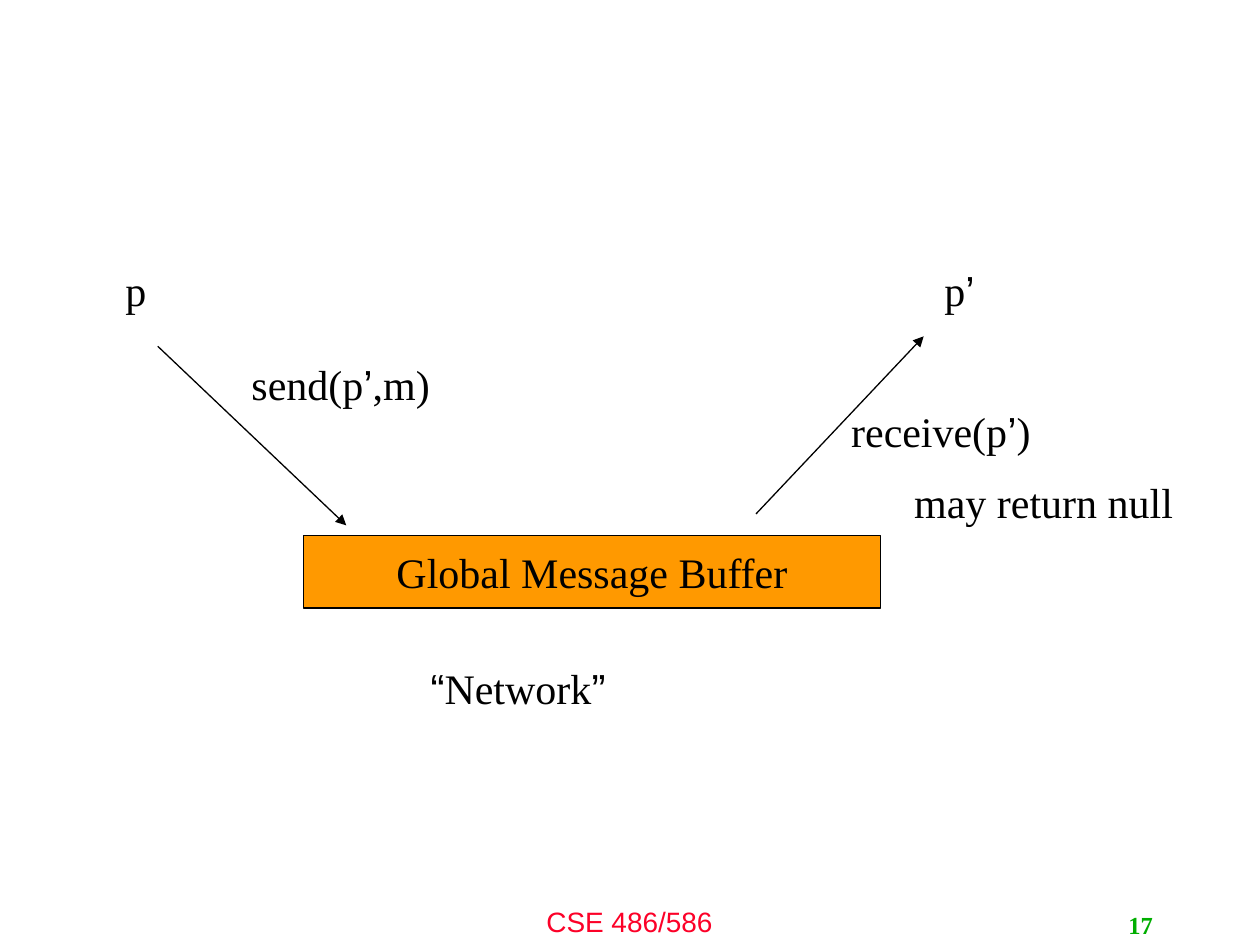
from itertools import groupby

from lxml import etree
from pptx import Presentation
from pptx.dml.color import RGBColor
from pptx.enum.shapes import MSO_CONNECTOR, MSO_SHAPE
from pptx.enum.text import MSO_ANCHOR, PP_ALIGN
from pptx.oxml.ns import qn
from pptx.util import Cm, Pt

BLACK = RGBColor(0x00, 0x00, 0x00)
ORANGE = RGBColor(0xFF, 0x99, 0x00)
RED = RGBColor(0xFC, 0x01, 0x28)
GREEN = RGBColor(0x00, 0xAE, 0x00)
SERIF, SANS = "Times New Roman", "Arial"
CURLY_QUOTES = "\u2019\u201c\u201d"
LEFT, CENTER, RIGHT = PP_ALIGN.LEFT, PP_ALIGN.CENTER, PP_ALIGN.RIGHT
TOP, MIDDLE = MSO_ANCHOR.TOP, MSO_ANCHOR.MIDDLE
RECTANGLE, STRAIGHT = MSO_SHAPE.RECTANGLE, MSO_CONNECTOR.STRAIGHT


def write(shape, lines, size=24, color=BLACK, font=SERIF, align=LEFT,
          anchor=TOP, wrap=False, bold=False):
    frame = shape.text_frame
    frame.word_wrap = wrap
    frame.vertical_anchor = anchor
    for index, line in enumerate(lines):
        para = frame.add_paragraph() if index else frame.paragraphs[0]
        para.alignment = align
        para.font.size = Pt(size)
        para.font.bold = bold
        para.font.color.rgb = color
        para.font.name = font
        if index:
            para.space_before = Pt(size / 2)
        for quoted, letters in groupby(line, lambda letter: letter in CURLY_QUOTES):
            span = para.add_run()
            span.text = "".join(letters)
            if quoted:
                span.font.name = SANS


def add_label(page, box, lines, **style):
    label = page.shapes.add_textbox(*map(Cm, box))
    write(label, lines, **style)


def add_arrow(page, start, end):
    arrow = page.shapes.add_connector(STRAIGHT, *map(Cm, start + end))
    arrow.line.color.rgb = BLACK
    arrow.line.width = Pt(0.75)
    outline = arrow.line._get_or_add_ln()
    etree.SubElement(outline, qn("a:tailEnd"), type="triangle")
    etree.SubElement(arrow._element.spPr, qn("a:effectLst"))


def add_buffer(page, box):
    buffer = page.shapes.add_shape(RECTANGLE, *map(Cm, box))
    buffer.shadow.inherit = False
    buffer.fill.solid()
    buffer.fill.fore_color.rgb = ORANGE
    buffer.line.color.rgb = BLACK
    buffer.line.width = Pt(0.75)
    write(buffer, ["Global Message Buffer"], align=CENTER, anchor=MIDDLE)


def add_diagram(page, left, top):
    def place(x, y, *size):
        return (left + x, top + y, *size)

    add_buffer(page, place(3.84, 5.59, 11.63, 1.47))
    add_arrow(page, place(0.9, 1.78), place(4.7, 5.39))
    add_arrow(page, place(12.96, 5.16), place(16.34, 1.58))
    labels = [
        (0, 0, 0.94, 1.27, ["p"]),
        (16.51, 0, 1.22, 1.27, ["p\u2019"]),
        (2.54, 1.9, 4.19, 1.27, ["send(p\u2019,m)"]),
        (14.63, 2.84, 8.26, 2.29, ["receive(p\u2019)", "\tmay return null"]),
        (6.15, 8.03, 4.22, 1.27, ["\u201cNetwork\u201d"]),
    ]
    for *box, lines in labels:
        add_label(page, place(*box), lines)


def add_footer(page, left, top):
    add_label(page, (left, top, 8.46, 0.94), ["CSE 486/586"], size=16,
              color=RED, font=SANS, align=CENTER, wrap=True)
    add_label(page, (left + 9.75, top + 0.13, 5.28, 0.81), ["17"], size=14,
              color=GREEN, align=RIGHT, anchor=MIDDLE, wrap=True, bold=True)


deck = Presentation()
deck.slide_width, deck.slide_height = Cm(25.4), Cm(19.05)
page = deck.slides.add_slide(deck.slide_layouts[6])
add_diagram(page, 2.28, 5.2)
add_footer(page, 8.46, 18.11)
deck.save("out.pptx")
